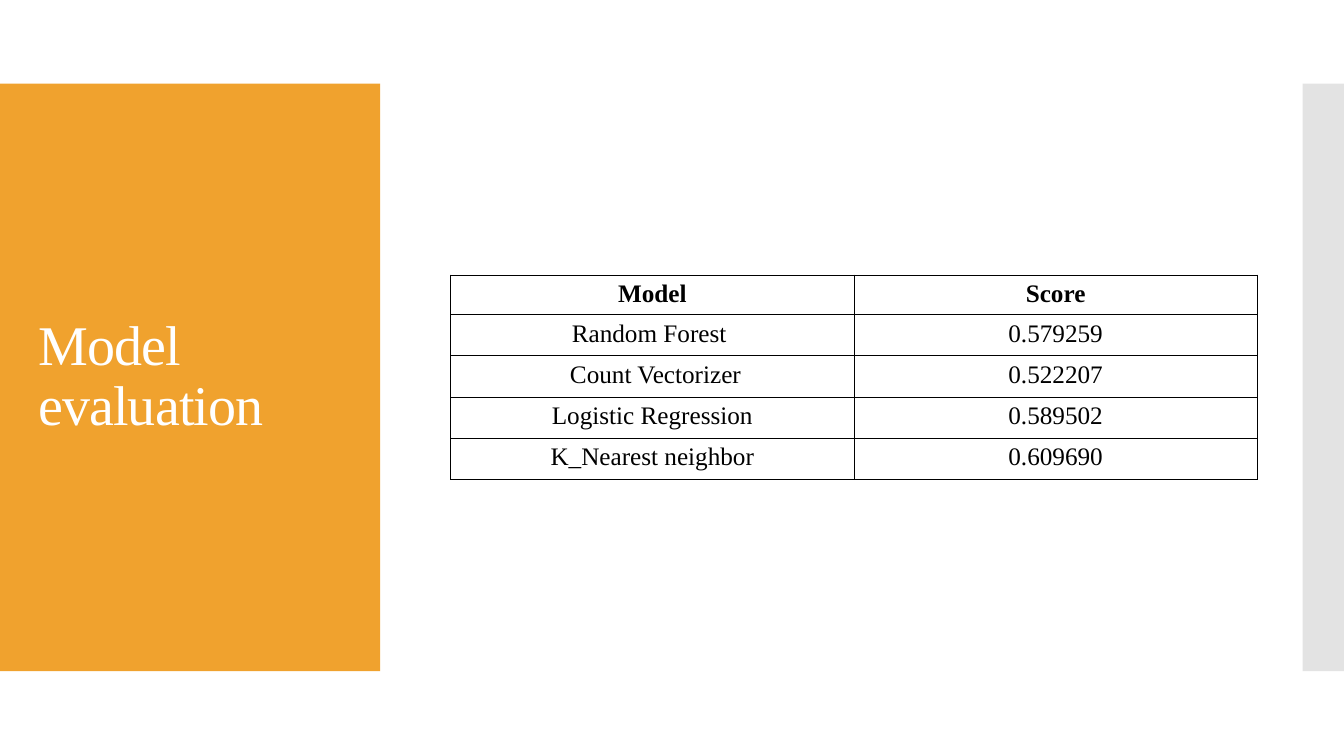
from dataclasses import dataclass
from lxml.etree import SubElement as Sub
from pptx import Presentation
from pptx.dml.color import RGBColor as Rgb
from pptx.enum.shapes import MSO_SHAPE as Kind
from pptx.enum.text import MSO_ANCHOR as Anchor, PP_ALIGN as Align
from pptx.oxml.ns import qn
from pptx.util import Inches, Pt


@dataclass(frozen=True)
class Theme:
    font: str = "Times New Roman"
    gold: str = "F0A22E"
    gray: str = "C8C8C8"
    white: str = "FFFFFF"
    black: str = "000000"
    title: int = 40
    body: int = 18
    rule: float = 0.75


class Deck:
    def __init__(self, theme):
        self.theme = theme
        self.file = Presentation()
        self.file.slide_width = Inches(13.33)
        self.file.slide_height = Inches(7.5)
        self.slide = self.file.slides.add_slide(self.file.slide_layouts[6])

    def style(self, run, size, color, bold=False):
        font = run.font
        font.name = self.theme.font
        font.size = Pt(size)
        font.bold = bold
        font.color.rgb = Rgb.from_string(color)

    def panel(self, box, color, alpha=100):
        shape = self.slide.shapes.add_shape(Kind.RECTANGLE, *map(Inches, box))
        shape.shadow.inherit = False
        shape.line.fill.background()
        shape.fill.solid()
        shape.fill.fore_color.rgb = Rgb.from_string(color)
        if alpha < 100:
            tint = shape.fill._xPr.find(".//" + qn("a:srgbClr"))
            Sub(tint, qn("a:alpha"), val=str(alpha * 1000))

    def title(self, box, text):
        frame = self.slide.shapes.add_textbox(*map(Inches, box)).text_frame
        frame.word_wrap = True
        frame.vertical_anchor = Anchor.MIDDLE
        frame.text = text
        para = frame.paragraphs[0]
        para.line_spacing = 0.9
        run = para.runs[0]
        self.style(run, self.theme.title, self.theme.white)
        run.font._element.set("spc", "-60")

    def border(self, cell):
        props = cell._tc.get_or_add_tcPr()
        for side in "LRTB":
            line = Sub(props, qn(f"a:ln{side}"), w=str(Pt(self.theme.rule)))
            fill = Sub(line, qn("a:solidFill"))
            Sub(fill, qn("a:srgbClr"), val=self.theme.black)

    def table(self, box, rows, highs):
        frame = self.slide.shapes.add_table(
            len(rows), len(rows[0]), *map(Inches, box))
        table = frame.table
        table.first_row = table.horz_banding = False
        for i, (row, high) in enumerate(zip(rows, highs)):
            table.rows[i].height = Inches(high)
            for j, text in enumerate(row):
                cell = table.cell(i, j)
                cell.margin_top = Inches(0.05)
                cell.margin_bottom = Inches(0.04)
                self.border(cell)
                cell.fill.background()
                cell.text_frame.text = text
                para = cell.text_frame.paragraphs[0]
                para.alignment = Align.CENTER
                self.style(para.runs[0], self.theme.body,
                           self.theme.black, i == 0)


def main():
    theme = Theme()
    deck = Deck(theme)
    deck.panel((0, 0.83, 3.77, 5.83), theme.gold)
    deck.panel((12.92, 0.83, 0.41, 5.83), theme.gray, 50)
    deck.title((0.28, 1.23, 3.22, 5.03), "Model evaluation")
    scores = [
        ("Model", "Score"),
        ("Random Forest ", "0.579259"),
        (" Count Vectorizer", "0.522207"),
        ("Logistic Regression", "0.589502"),
        ("K_Nearest neighbor", "0.609690"),
    ]
    highs = [0.38] + [0.41] * (len(scores) - 1)
    deck.table((4.47, 2.73, 8, sum(highs)), scores, highs)
    deck.file.save("out.pptx")


if __name__ == "__main__":
    main()
